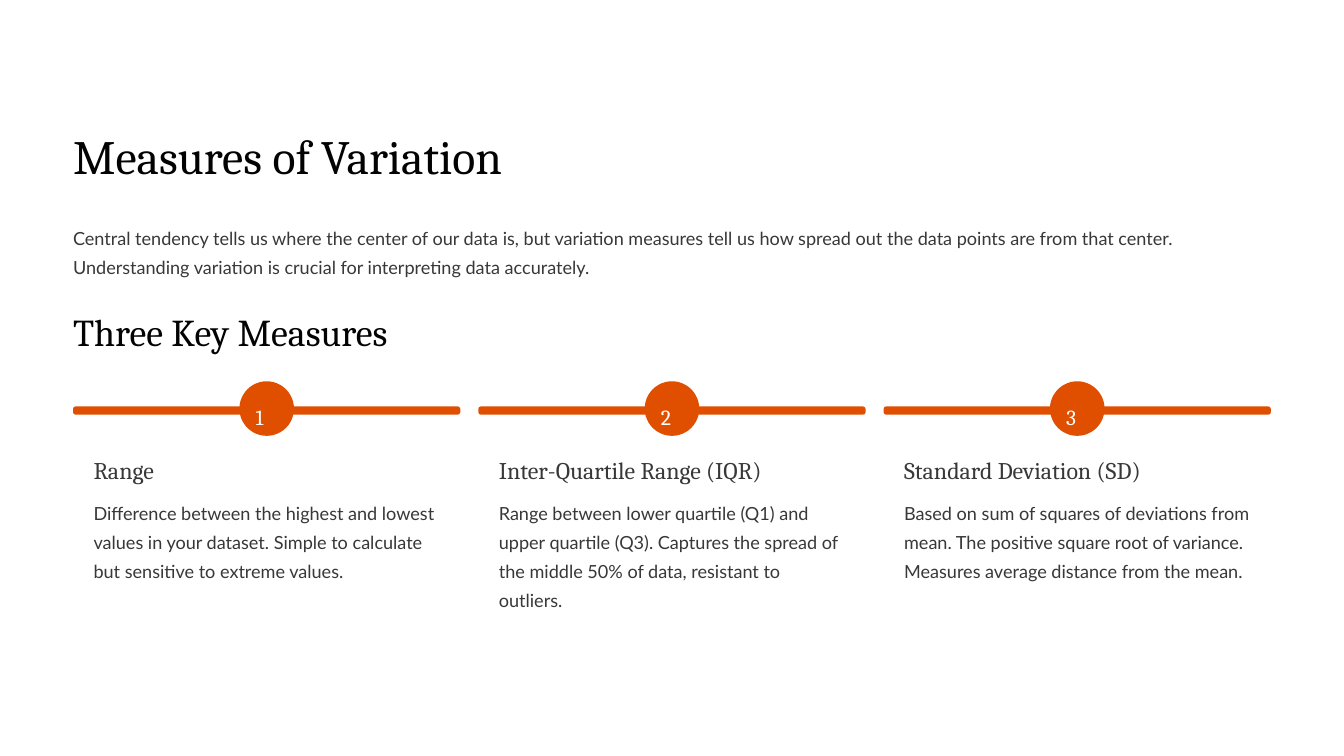
import pptx
import pptx.util
import pptx.dml.color
import pptx.enum.shapes
import pptx.enum.text

Cm, Pt = pptx.util.Cm, pptx.util.Pt
RGBColor = pptx.dml.color.RGBColor
SHAPE = pptx.enum.shapes.MSO_SHAPE

WHITE = RGBColor(0xFF, 0xFF, 0xFF)
BLACK = RGBColor(0x02, 0x02, 0x02)
GREY = RGBColor(0x38, 0x38, 0x38)
ORANGE = RGBColor(0xE0, 0x4F, 0x00)

MARGIN = 2.21
CONTENT_WIDTH = 36.22
COLUMN_WIDTH = 11.71
COLUMN_PITCH = (CONTENT_WIDTH - COLUMN_WIDTH) / 2
BADGE_SIZE = 1.65
INSET = 0.62

MEASURES = [
    ("Range",
     "Difference between the highest and lowest values in your dataset. "
     "Simple to calculate but sensitive to extreme values."),
    ("Inter-Quartile Range (IQR)",
     "Range between lower quartile (Q1) and upper quartile (Q3). "
     "Captures the spread of the middle 50% of data, resistant to outliers."),
    ("Standard Deviation (SD)",
     "Based on sum of squares of deviations from mean. The positive square "
     "root of variance. Measures average distance from the mean."),
]

deck = pptx.Presentation()
deck.slide_width, deck.slide_height = Cm(40.64), Cm(22.86)
slide = deck.slides.add_slide(deck.slide_layouts[5])
slide.background.fill.solid()
slide.background.fill.fore_color.rgb = WHITE


def write(text, left, top, width, height, *, size, spacing, font="Lato", color=GREY, holder=None):
    box = holder or slide.shapes.add_textbox(0, 0, 0, 0)
    box.left, box.top, box.width, box.height = Cm(left), Cm(top), Cm(width), Cm(height)
    frame = box.text_frame
    frame.margin_left = frame.margin_right = frame.margin_top = frame.margin_bottom = 0
    frame.word_wrap = True
    frame.auto_size = pptx.enum.text.MSO_AUTO_SIZE.NONE
    frame.vertical_anchor = pptx.enum.text.MSO_ANCHOR.TOP
    paragraph = frame.paragraphs[0]
    paragraph.text = text
    paragraph.alignment = pptx.enum.text.PP_ALIGN.LEFT
    paragraph.line_spacing = Pt(spacing)
    paragraph.space_before = Pt(0)
    paragraph.font.name = font
    paragraph.font.size = Pt(size)
    paragraph.font.color.rgb = color


def draw(kind, left, top, width, height):
    shape = slide.shapes.add_shape(kind, Cm(left), Cm(top), Cm(width), Cm(height))
    shape.shadow.inherit = False
    shape.fill.solid()
    shape.fill.fore_color.rgb = ORANGE
    shape.line.fill.background()
    return shape


write("Measures of Variation", MARGIN, 3.76, 14.48, 1.8, size=41, spacing=51,
      font="Cambria", color=BLACK, holder=slide.shapes.title)
write("Central tendency tells us where the center of our data is, but variation measures "
      "tell us how spread out the data points are from that center. Understanding variation "
      "is crucial for interpreting data accurately.",
      MARGIN, 6.65, CONTENT_WIDTH, 1.75, size=15.5, spacing=25)
write("Three Key Measures", MARGIN, 9.25, 11.58, 1.45, size=32.5, spacing=41,
      font="Cambria", color=BLACK)

for index, (measure, description) in enumerate(MEASURES):
    left = MARGIN + index * COLUMN_PITCH
    badge_left = left + (COLUMN_WIDTH - BADGE_SIZE) / 2
    bar = draw(SHAPE.ROUNDED_RECTANGLE, left, 12.29, COLUMN_WIDTH, 0.25)
    bar.adjustments[0] = 0.33
    draw(SHAPE.OVAL, badge_left, 11.53, BADGE_SIZE, BADGE_SIZE)
    write(str(index + 1), badge_left + 0.49, 11.94, 0.66, 0.84, size=18.5, spacing=30,
          font="Cambria", color=WHITE)
    write(measure, left + INSET, 13.74, 8.64, 0.91, size=20.5, spacing=25.5, font="Cambria")
    write(description, left + INSET, 14.96, 10.49, 3.53, size=15.5, spacing=25)

deck.save("out.pptx")
